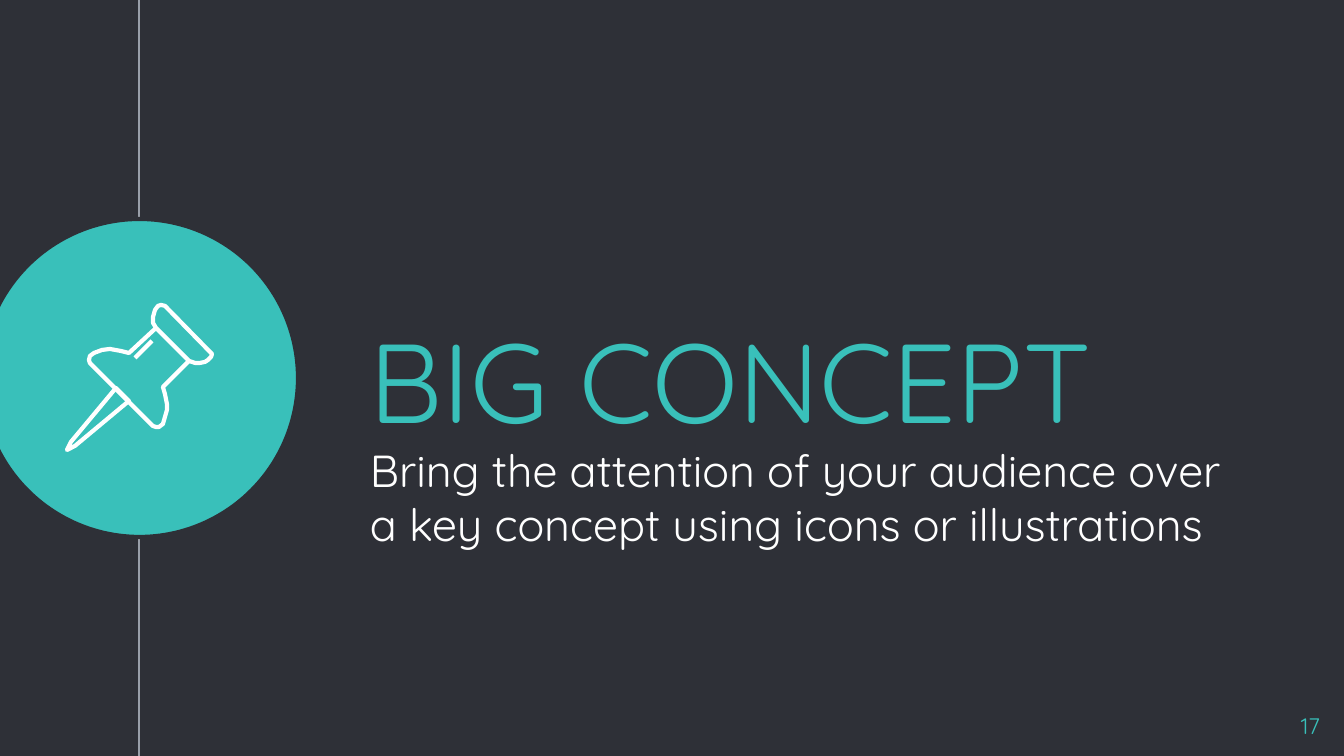
from lxml import etree
from pptx import Presentation
from pptx.dml.color import RGBColor
from pptx.enum.shapes import MSO_CONNECTOR, MSO_SHAPE
from pptx.enum.text import MSO_ANCHOR, PP_ALIGN
from pptx.oxml.ns import qn
from pptx.util import Pt

STRAIGHT = MSO_CONNECTOR.STRAIGHT
OVAL = MSO_SHAPE.OVAL
TOP, MIDDLE = MSO_ANCHOR.TOP, MSO_ANCHOR.MIDDLE
LEFT, RIGHT = PP_ALIGN.LEFT, PP_ALIGN.RIGHT

SCALE = 914400 / 134.4
WIDTH, HEIGHT = 1344, 756
INSET = 13
FONT = "Quicksand"
COLORS = {"dark": "2E3037", "teal": "39C0BA", "gray": "999FA9", "white": "FFFFFF"}

PIN_NEEDLE = [(116, 388), (71, 442), (67, 450), (75, 446), (129, 401)]
PIN_HEAD = [
    (156, 328), (189, 361), (195, 363), (200, 363), (205, 362), (208, 360),
    (211, 357), (212, 354), (210, 352), (165, 306), (161, 305), (158, 306),
    (155, 310), (153, 317), (153, 323),
]
PIN_BODY = [
    (156, 328), (129, 353), (121, 351), (110, 349), (102, 350), (94, 353),
    (90, 356), (89, 360), (90, 363), (153, 426), (156, 427), (159, 427),
    (163, 424), (165, 417), (167, 410), (167, 404), (165, 394), (163, 387),
    (189, 361),
]
PIN_SHINE = [(135, 358), (152, 341)]


def emu(pixels):
    """Turn pixels into EMU."""
    return round(pixels * SCALE)


def rgb(name):
    """Look up a named colour."""
    return RGBColor.from_string(COLORS[name])


class Page:
    """The current slide and its style."""

    def __init__(self, deck):
        """Add a blank slide with a dark background."""
        self.slide = deck.slides.add_slide(deck.slide_layouts[6])
        self.shapes = self.slide.shapes
        fill = self.slide.background.fill
        fill.solid()
        fill.fore_color.rgb = rgb("dark")

    def stroke(self, shape, color, width):
        """Set the outline of a shape."""
        shape.line.color.rgb = rgb(color)
        shape.line.width = Pt(width)

    def line(self, start, end, color, width):
        """Draw a straight line."""
        line = self.shapes.add_connector(STRAIGHT, *map(emu, start + end))
        self.stroke(line, color, width)
        etree.SubElement(line._element.spPr, qn("a:effectLst"))

    def circle(self, area, fill, color, width):
        """Draw a filled ellipse."""
        circle = self.shapes.add_shape(OVAL, *map(emu, area))
        circle.shadow.inherit = False
        circle.fill.solid()
        circle.fill.fore_color.rgb = rgb(fill)
        self.stroke(circle, color, width)

    def outline(self, points, color, width, close=False):
        """Draw an unfilled outline through the points."""
        builder = self.shapes.build_freeform(*points[0], scale=SCALE)
        builder.add_line_segments(points[1:], close=close)
        outline = builder.convert_to_shape()
        outline.shadow.inherit = False
        outline.fill.background()
        self.stroke(outline, color, width)

    def text(self, area, words, size, color, anchor=TOP, align=LEFT, before=0):
        """Write one paragraph in a wrapping box."""
        box = self.shapes.add_textbox(*map(emu, area))
        frame = box.text_frame
        frame.word_wrap = True
        frame.vertical_anchor = anchor
        frame.margin_left = frame.margin_right = emu(INSET)
        frame.margin_top = frame.margin_bottom = emu(INSET)
        frame.text = words
        para = frame.paragraphs[0]
        para.alignment = align
        para.space_before = Pt(before)
        font = para.runs[0].font
        font.name = FONT
        font.size = Pt(size)
        font.color.rgb = rgb(color)


def main():
    """Build the slide and save it."""
    deck = Presentation()
    deck.slide_width, deck.slide_height = emu(WIDTH), emu(HEIGHT)
    page = Page(deck)
    page.line((139, 0), (139, HEIGHT), "gray", 0.75)
    page.circle((-19, 219, 317, 318), "teal", "dark", 2.25)
    page.text((357, 293, 886, 171), "BIG CONCEPT", 60, "teal", anchor=MIDDLE)
    page.text(
        (357, 430, 886, 116),
        "Bring the attention of your audience over a key concept "
        "using icons or illustrations",
        24, "white", before=6,
    )
    for points in (PIN_NEEDLE, PIN_HEAD):
        page.outline(points, "white", 2.25, close=True)
    for points in (PIN_BODY, PIN_SHINE):
        page.outline(points, "white", 2.25)
    page.text((1253, 699, 80, 46), "17", 12, "teal", align=RIGHT)
    deck.save("out.pptx")


main()
